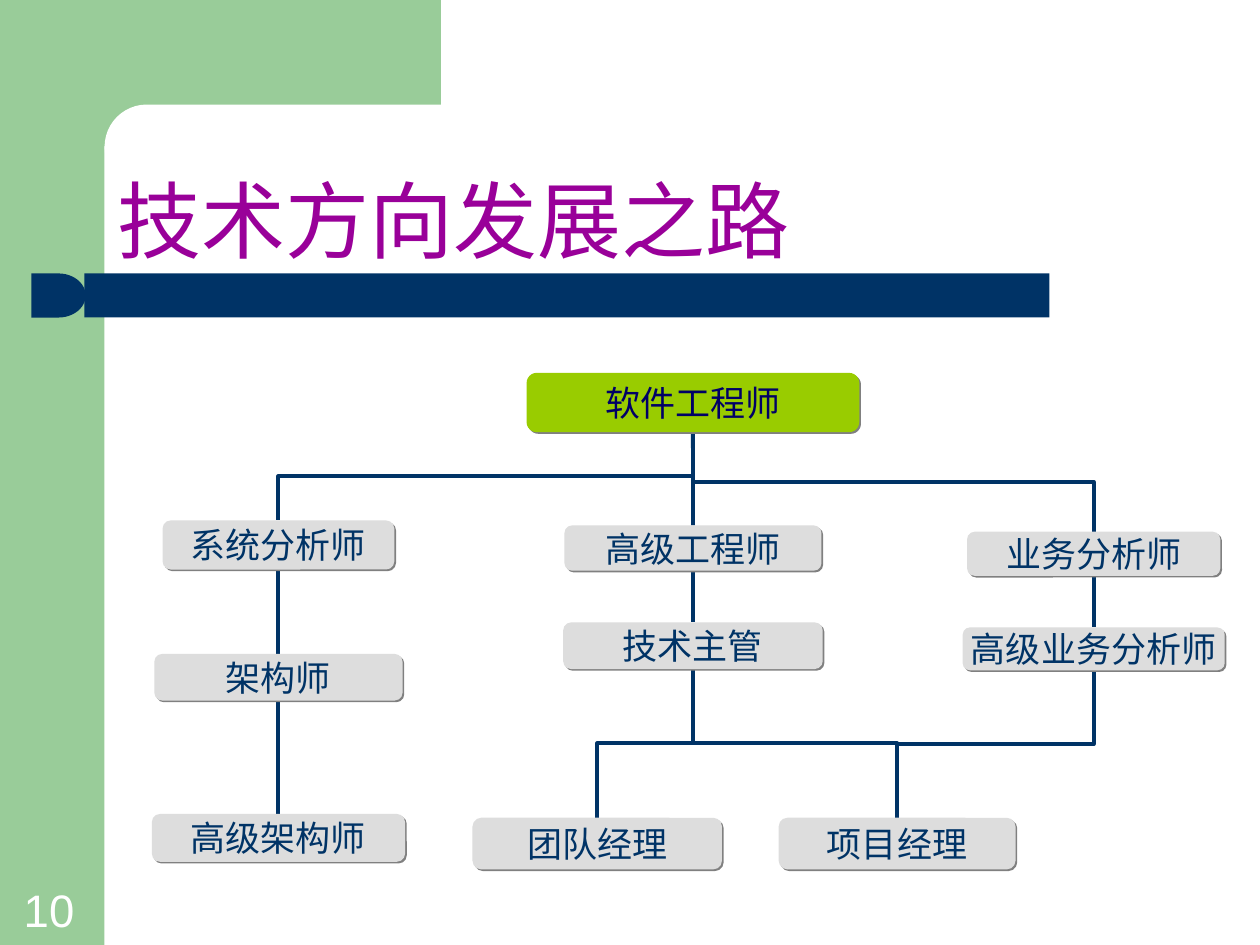
import lxml.etree
import pptx
import pptx.dml.color
import pptx.enum.shapes
import pptx.enum.text
import pptx.oxml.ns
import pptx.util

SHAPE = pptx.enum.shapes.MSO_SHAPE
CONNECTOR = pptx.enum.shapes.MSO_CONNECTOR
ANCHOR = pptx.enum.text.MSO_ANCHOR
ALIGN = pptx.enum.text.PP_ALIGN
inches = pptx.util.Inches

WIDTH, HEIGHT = 10, 7.5
GREEN, NAVY, WHITE, GREY, LIME = "99CC99", "003366", "FFFFFF", "DDDDDD", "99CC00"
CJK_FONT = "Noto Sans CJK SC"
TITLE = "技术方向发展之路"
PAGE_NUMBER = "10"

# kind, (left, top, width, height), fill, corner share
DECORATIONS = [
    (SHAPE.RECTANGLE, (0, 0, 0.83, HEIGHT), GREEN, None),
    (SHAPE.RECTANGLE, (0.75, 0, 2.75, 1.16), GREEN, None),
    (SHAPE.ROUNDED_RECTANGLE, (0.83, 0.83, 5.58, 0.67), WHITE, 0.5),
    (SHAPE.RECTANGLE, (0.67, 2.17, 7.66, 0.35), NAVY, None),
    (SHAPE.FLOWCHART_DELAY, (0.25, 2.17, 0.43, 0.35), NAVY, None),
]

# Centre lines of the three career paths and the two manager roles
ANALYST, ENGINEER, BUSINESS, TEAM, PROJECT = 2.21, 5.5, 8.68, 4.74, 7.12

# role: (centre, top, width, height)
ROLES = {
    "软件工程师": (ENGINEER, 2.96, 2.64, 0.47),
    "系统分析师": (ANALYST, 4.13, 1.84, 0.39),
    "高级工程师": (ENGINEER, 4.17, 2.04, 0.36),
    "业务分析师": (BUSINESS, 4.22, 2.01, 0.35),
    "架构师": (ANALYST, 5.19, 1.97, 0.37),
    "技术主管": (ENGINEER, 4.94, 2.06, 0.37),
    "高级业务分析师": (BUSINESS, 4.98, 2.08, 0.34),
    "高级架构师": (ANALYST, 6.46, 2.01, 0.38),
    "团队经理": (TEAM, 6.49, 1.98, 0.41),
    "项目经理": (PROJECT, 6.49, 1.88, 0.41),
}
ROOT = "软件工程师"
PROMOTIONS = [
    ("软件工程师", "系统分析师"), ("软件工程师", "高级工程师"),
    ("软件工程师", "业务分析师"), ("系统分析师", "架构师"),
    ("架构师", "高级架构师"), ("高级工程师", "技术主管"),
    ("业务分析师", "高级业务分析师"), ("技术主管", "团队经理"),
    ("技术主管", "项目经理"), ("高级业务分析师", "项目经理"),
]


def color(value):
    return pptx.dml.color.RGBColor.from_string(value)


def set_all(target, values):
    for name, value in values.items():
        setattr(target, name, value)


def add_child(parent, tag, **attributes):
    return lxml.etree.SubElement(parent, pptx.oxml.ns.qn(tag), attributes)


def add_filled(slide, kind, place, fill, corner=None):
    shape = slide.shapes.add_shape(kind, *map(inches, place))
    shape.shadow.inherit = False
    shape.fill.solid()
    shape.fill.fore_color.rgb = color(fill)
    shape.line.fill.background()
    if corner is not None:
        shape.adjustments[0] = corner
    return shape


def write(box, text, size, fill, font, frame_format, para_format):
    set_all(box.text_frame, frame_format)
    para = box.text_frame.paragraphs[0]
    set_all(para, para_format)
    span = para.add_run()
    span.text = text
    set_all(span.font, {"name": font, "size": pptx.util.Pt(size), "bold": False})
    span.font.color.rgb = color(fill)
    add_child(span.font._element, "a:ea", typeface=CJK_FONT)


def add_link(slide, parent, child):
    """Draw a line from the parent's bottom to the child's top."""
    start_x, top, _, height = ROLES[parent]
    start_y = top + height
    end_x, end_y = ROLES[child][:2]
    bent = start_x != end_x
    ends = [start_x, start_y, end_x, end_y]
    if bent:
        # An elbow leaves sideways, so lay it flat around its centre and turn it.
        middle_x, middle_y = (start_x + end_x) / 2, (start_y + end_y) / 2
        half_drop, half_span = (end_y - start_y) / 2, abs(end_x - start_x) / 2
        ends = [middle_x - half_drop, middle_y - half_span,
                middle_x + half_drop, middle_y + half_span]
    kind = CONNECTOR.ELBOW if bent else CONNECTOR.STRAIGHT
    link = slide.shapes.add_connector(kind, *map(inches, ends))
    if bent:
        frame = link.element.spPr.find(pptx.oxml.ns.qn("a:xfrm"))
        if end_x < start_x:
            frame.set("rot", "5400000")
        else:
            frame.set("rot", "16200000")
            frame.set("flipH", "1")
    link.line.color.rgb = color(NAVY)
    link.line.width = pptx.util.Pt(2.25)
    add_child(link.element.spPr, "a:effectLst")
    return link


def add_role(slide, role):
    center, top, width, height = ROLES[role]
    is_root = role == ROOT
    box = add_filled(slide, SHAPE.ROUNDED_RECTANGLE,
                     (center - width / 2, top, width, height),
                     LIME if is_root else GREY, 0.17)
    effects = box.element.spPr.find(pptx.oxml.ns.qn("a:effectLst"))
    shadow = add_child(effects, "a:outerShdw", dist=str(pptx.util.Pt(1.4)),
                       dir="2700000", algn="ctr", rotWithShape="0")
    add_child(shadow, "a:srgbClr", val="808080")
    frame_format = {"margin_left": 0, "margin_right": 0, "margin_top": 0,
                    "margin_bottom": 0, "word_wrap": False,
                    "vertical_anchor": ANCHOR.MIDDLE}
    write(box, role, 20, "000066" if is_root else NAVY, "Arial",
          frame_format, {"alignment": ALIGN.CENTER})
    return box


def add_title(slide):
    title = slide.shapes.title
    title.element.getparent().append(title.element)  # in front of the decorations
    set_all(title, {"left": inches(0.83), "top": inches(1.47),
                    "width": inches(8.58), "height": inches(0.63)})
    write(title, TITLE, 48, "990099", CJK_FONT,
          {"vertical_anchor": ANCHOR.MIDDLE, "word_wrap": True,
           "auto_size": pptx.enum.text.MSO_AUTO_SIZE.NONE},
          {"alignment": ALIGN.LEFT, "line_spacing": 0.9})


def main():
    deck = pptx.Presentation()
    set_all(deck, {"slide_width": inches(WIDTH), "slide_height": inches(HEIGHT)})
    slide = deck.slides.add_slide(deck.slide_layouts[5])
    for decoration in DECORATIONS:
        add_filled(slide, *decoration)
    add_title(slide)
    number = slide.shapes.add_textbox(*map(inches, (0.09, 6.94, 0.64, 0.54)))
    write(number, PAGE_NUMBER, 26, WHITE, "Arial",
          {"vertical_anchor": ANCHOR.BOTTOM, "word_wrap": True},
          {"alignment": ALIGN.LEFT})

    links = [add_link(slide, *pair) for pair in PROMOTIONS]
    boxes = {role: add_role(slide, role) for role in ROLES}
    for link, (parent, child) in zip(links, PROMOTIONS):
        if ROLES[parent][0] == ROLES[child][0]:
            link.begin_connect(boxes[parent], 2)
            link.end_connect(boxes[child], 0)
    deck.save("out.pptx")


if __name__ == "__main__":
    main()
